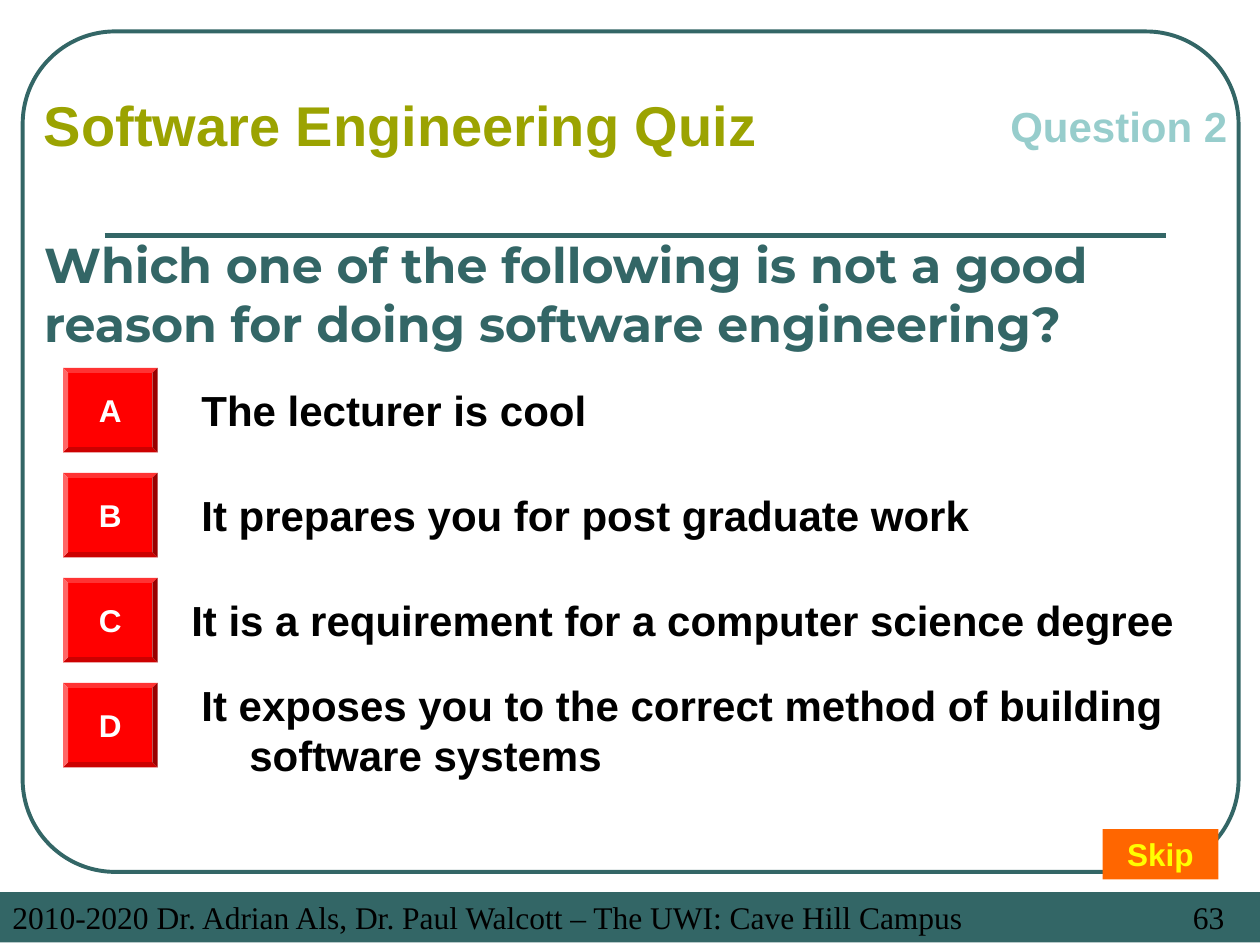
from pptx import Presentation
from pptx.util import Inches, Pt
from pptx.dml.color import RGBColor as Rgb
from pptx.enum.shapes import MSO_SHAPE as Kind, MSO_CONNECTOR as Link
from pptx.enum.text import PP_ALIGN as Align, MSO_ANCHOR as Anchor, MSO_AUTO_SIZE as Fit
from pptx.oxml.ns import qn
from lxml.etree import SubElement as Sub

HEAD = "Software Engineering Quiz"
COUNT = "Question 2"
ASK = "Which one of the following is not a good reason for doing software engineering?"
PICKS = [
    ("A", "The lecturer is cool", (1.5, 0.08, 8.25, 0.5)),
    ("B", "It prepares you for post graduate work", (1.5, 0.08, 7.92, 0.5)),
    ("C", "It is a requirement for a computer science degree", (1.42, 0.08, 8.25, 0.5)),
    ("D", "It exposes you to the correct method of building software systems",
     (1.5, -0.08, 8.25, 0.9)),
]
SKIP = "Skip"
FOOT = "2010-2020 Dr. Adrian Als, Dr. Paul Walcott – The UWI: Cave Hill Campus\t63"


class Theme:
    teal, mint, olive = "336666", "97CDCC", "9BA301"
    red, orange, yellow = "FF0000", "FF6600", "FFFF00"
    black, white = "000000", "FFFFFF"
    sans, serif, show = "Arial", "Times New Roman", "Montserrat"
    small, body, ask, head = 18, 24, 28, 32


TOP, STEP, HANG = 2.92, 5 / 6, 0.38

deck = Presentation()
deck.slide_width, deck.slide_height = Inches(10), Inches(7.5)
slide = deck.slides.add_slide(deck.slide_layouts[5])
shapes = slide.shapes


def place(box):
    return [Inches(n) for n in box]


def write(shape, text, size=Theme.body, color=Theme.black, font=Theme.sans,
          bold=True, align=Align.LEFT, anchor=Anchor.TOP, hang=0, tab=None, wrap=True):
    frame = shape.text_frame
    frame.word_wrap, frame.auto_size = wrap, Fit.NONE
    frame.vertical_anchor = anchor
    para = frame.paragraphs[0]
    para.alignment = align
    props = para._p.get_or_add_pPr()
    if hang:
        props.set("marL", str(Inches(hang)))
        props.set("indent", str(-Inches(hang)))
    if tab:
        Sub(Sub(props, qn("a:tabLst")), qn("a:tab"), pos=str(Inches(tab)), algn="r")
    run = para.add_run()
    run.text = text
    run.font.size, run.font.bold, run.font.name = Pt(size), bold, font
    run.font.color.rgb = Rgb.from_string(color)


def label(box, text, **style):
    write(shapes.add_textbox(*place(box)), text, **style)


def block(kind, box, fill=None, line=None):
    shape = shapes.add_shape(kind, *place(box))
    shape.shadow.inherit = False
    if fill:
        shape.fill.solid()
        shape.fill.fore_color.rgb = Rgb.from_string(fill)
    else:
        shape.fill.background()
    if line:
        shape.line.color.rgb = Rgb.from_string(line)
        shape.line.width = Pt(2.25)
    else:
        shape.line.fill.background()
    return shape


border = block(Kind.ROUNDED_RECTANGLE, (0.18, 0.25, 9.65, 6.67), line=Theme.teal)
border.adjustments[0] = 0.11

rule = shapes.add_connector(Link.STRAIGHT, *place((0.83, 1.87, 9.25, 1.87)))
rule.line.color.rgb = Rgb.from_string(Theme.teal)
rule.line.width = Pt(3)
Sub(rule._element.spPr, qn("a:effectLst"))

bar = block(Kind.RECTANGLE, (0, 7.08, 10, 0.4), fill=Theme.teal)
write(bar, FOOT, size=Theme.small, font=Theme.serif, bold=False, tab=9.62)

title = shapes.title
title.left, title.top, title.width, title.height = place((0.25, 1.58, 9.5, 1.5))
write(title, ASK, size=Theme.ask, color=Theme.teal, font=Theme.show, anchor=Anchor.MIDDLE)

label((0.25, 0.67, 6.5, 0.64), HEAD, size=Theme.head, color=Theme.olive)
label((7.92, 0.75, 2.08, 0.5), COUNT, color=Theme.mint)

for row, (key, text, (left, shift, width, height)) in enumerate(PICKS):
    top = TOP + row * STEP
    button = block(Kind.BEVEL, (0.5, top, 0.75, 0.67), fill=Theme.red)
    button.adjustments[0] = 0.06
    write(button, key, size=Theme.small, color=Theme.white, align=Align.CENTER,
          anchor=Anchor.MIDDLE, wrap=False)
    label((left, top + shift, width, height), text, hang=HANG)

skip = block(Kind.RECTANGLE, (8.75, 6.58, 0.92, 0.4), fill=Theme.orange)
write(skip, SKIP, size=Theme.small, color=Theme.yellow, align=Align.CENTER)

deck.save("out.pptx")
